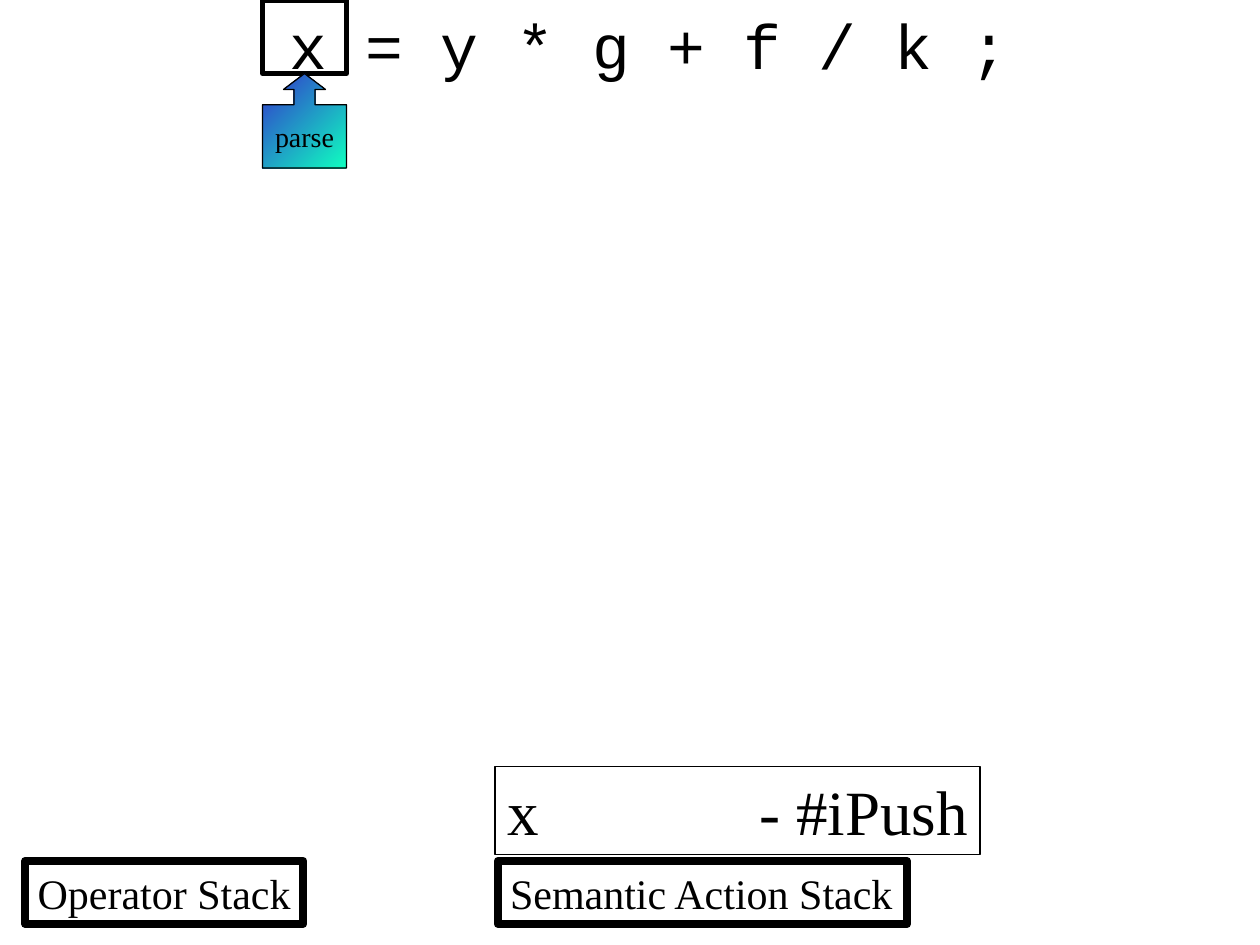
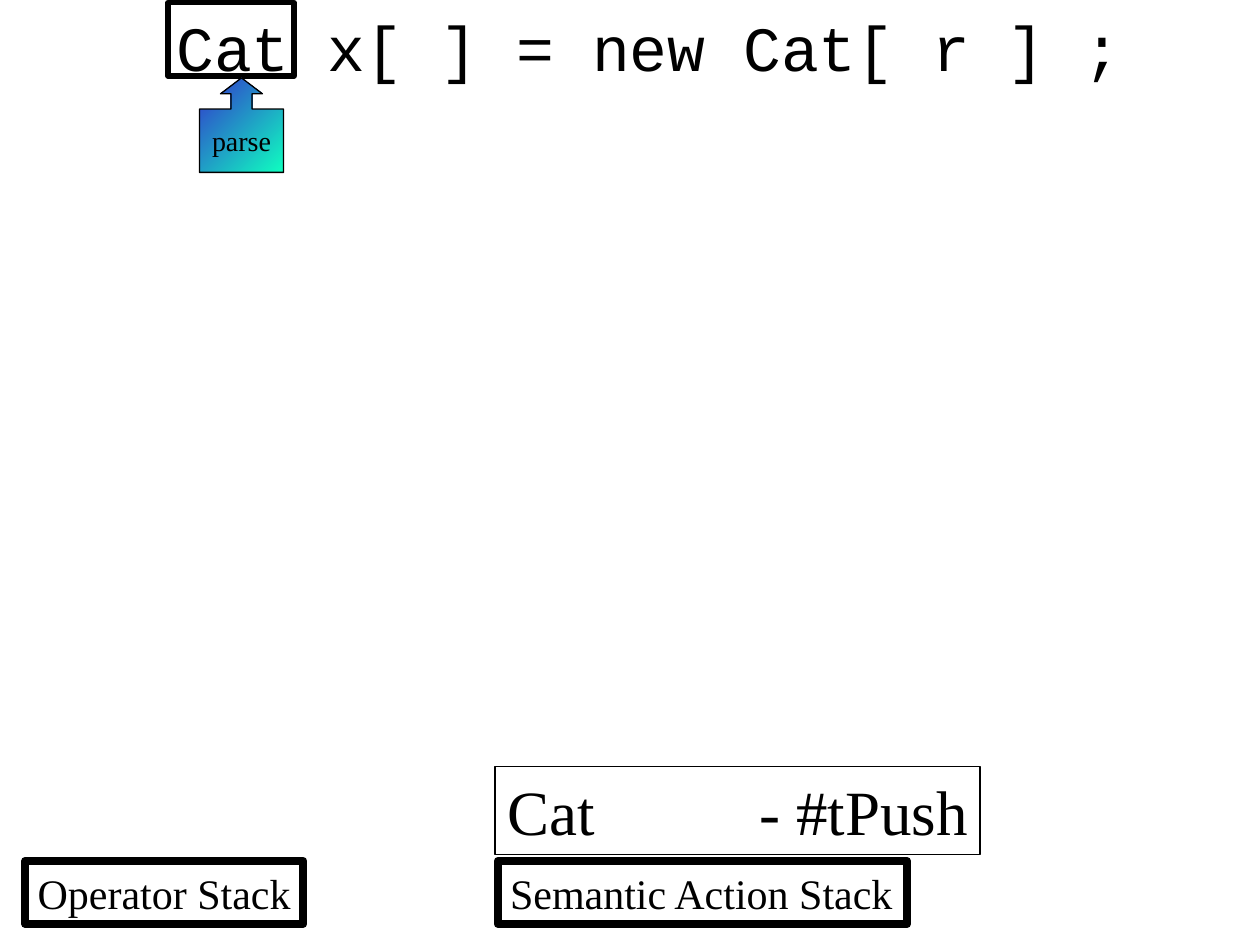
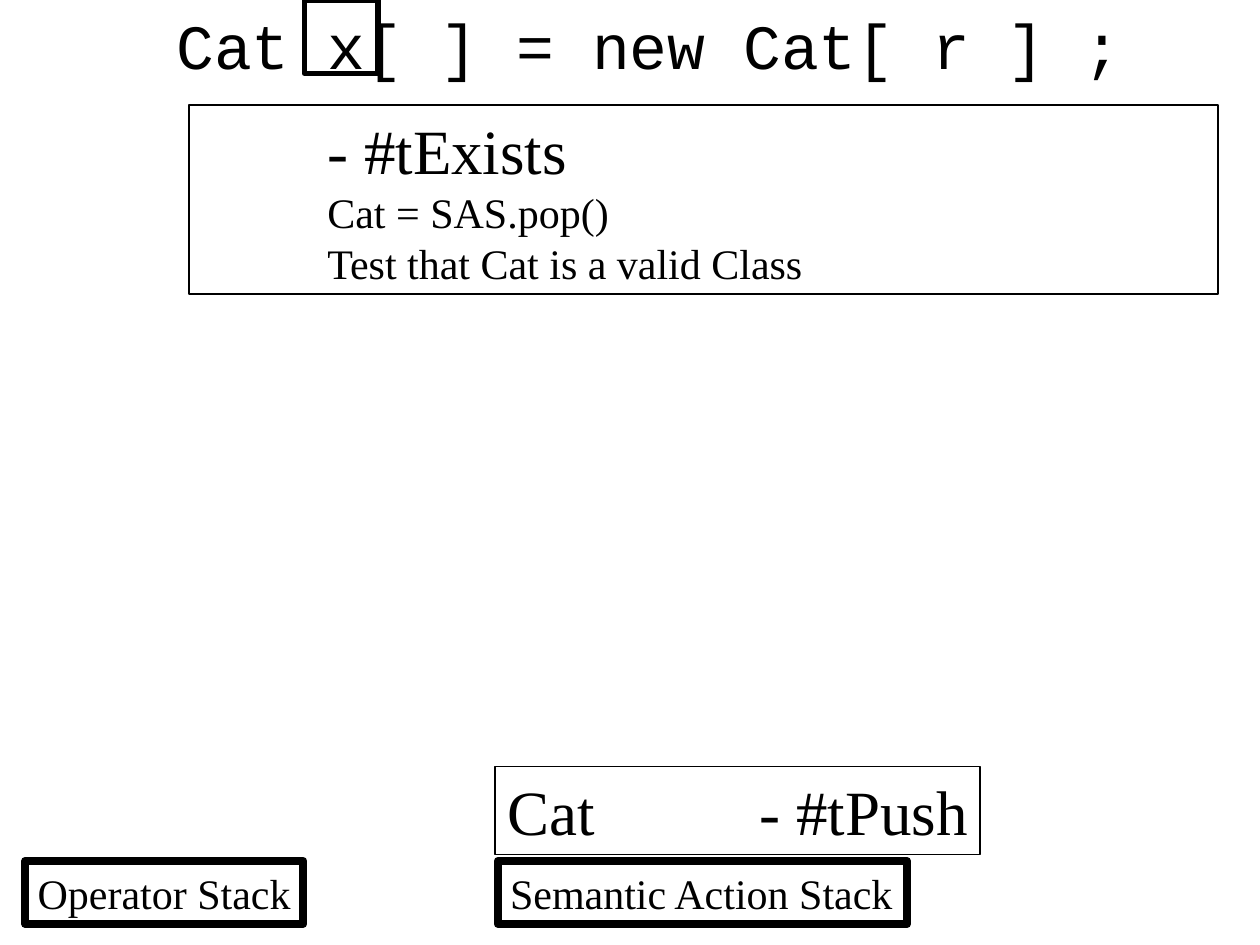
from lxml.etree import SubElement as Sub
from pptx import Presentation
from pptx.dml.color import RGBColor
from pptx.enum.shapes import MSO_SHAPE as Kind
from pptx.enum.text import MSO_ANCHOR as Anchor, MSO_AUTO_SIZE as Auto, PP_ALIGN as Align
from pptx.oxml.ns import qn
from pptx.util import Pt

# Shared look
INK = "000000"
BLUE, MINT = "3333CC", "0FFFC0"
SERIF, MONO = "Times New Roman", "Courier New"
TABS = (72, 144)


def paint(color, value):
    color.rgb = RGBColor.from_string(value)


def style(par, size, font, align):
    par.alignment = align
    for run in par.runs:
        run.font.size = Pt(size)
        run.font.name = font
        paint(run.font.color, INK)


def write(shape, text, sizes, font=SERIF, align=Align.LEFT, anchor=Anchor.TOP,
          wrap=False, fit=Auto.SHAPE_TO_FIT_TEXT):
    frame = shape.text_frame
    frame.text = text
    frame.word_wrap = wrap
    frame.auto_size = fit
    frame.vertical_anchor = anchor
    frame.margin_left = frame.margin_right = Pt(7.2)
    frame.margin_top = frame.margin_bottom = Pt(3.6)
    for par, size in zip(frame.paragraphs, sizes):
        style(par, size, font, align)
        if "\t" in par.text:
            stops = Sub(par._p.get_or_add_pPr(), qn("a:tabLst"))
            for stop in TABS:
                Sub(stops, qn("a:tab"), pos=str(Pt(stop)), algn="l")


def place(slide, kind, left, top, width, height, line):
    shape = slide.shapes.add_shape(kind, Pt(left), Pt(top), Pt(width), Pt(height))
    shape.shadow.inherit = False
    shape.fill.background()
    paint(shape.line.color, INK)
    shape.line.width = Pt(line)
    return shape


def box(slide, left, top, width, height, line):
    return place(slide, Kind.RECTANGLE, left, top, width, height, line)


# Line of source code across the top
def code(slide, text, top=0):
    title = slide.shapes.title
    title.left, title.top = Pt(0), Pt(top)
    title.width, title.height = Pt(720), Pt(50.4)
    write(title, text, [36], MONO, Align.CENTER, wrap=True, fit=Auto.NONE)


# Frame around the current token
def token(slide, left, top, width):
    box(slide, left, top, width, 42, 3)


# Callout pointing up at the token
def point(slide, left, top):
    mark = place(slide, Kind.UP_ARROW_CALLOUT, left, top, 48, 54, 0.75)
    for i, value in enumerate((0.25, 0.25, 0.19, 0.67)):
        mark.adjustments[i] = value
    mark.fill.gradient()
    mark.fill.gradient_angle = 315
    for stop, value in zip(mark.fill.gradient_stops, (BLUE, MINT)):
        paint(stop.color, value)
        stop.position = 0 if value == BLUE else 1
    write(mark, "parse", [16], align=Align.CENTER, anchor=Anchor.MIDDLE, fit=Auto.NONE)


# Both stack labels and the entry on the semantic action stack
def stacks(slide, entry):
    for text, left, width in (("Operator Stack", 14.4, 159),
                              ("Semantic Action Stack", 284.4, 234)):
        write(box(slide, left, 492, width, 36, 4.5), text, [24])
    write(box(slide, 283, 438, 277.2, 50.4, 1), entry, [36])


# Steps of a semantic action
def steps(slide, lines):
    sizes = [36] + [24] * (len(lines) - 1)
    write(box(slide, 108, 60, 588, 108, 1), "\n".join(lines), sizes, wrap=True)


def main():
    deck = Presentation()
    deck.slide_width, deck.slide_height = Pt(720), Pt(540)
    first, second, third = (
        deck.slides.add_slide(deck.slide_layouts[5]) for _ in range(3))
    array = " Cat x[ ] = new Cat[ r ] ;"
    push = "Cat\t\t- #tPush"

    # Identifier push
    code(first, " x = y * g + f / k ;")
    stacks(first, "x\t\t- #iPush")
    token(first, 150, 0, 48)
    point(first, 150, 42)

    # Type push
    code(second, array, 1.5)
    stacks(second, push)
    token(second, 96, 1.5, 72)
    point(second, 114, 44.5)

    # Type check
    code(third, array)
    stacks(third, push)
    token(third, 174, 0, 42)
    steps(third, [" \t- #tExists", "\tCat = SAS.pop()",
                  "\tTest that Cat is a valid Class"])

    deck.save("out.pptx")


if __name__ == "__main__":
    main()
